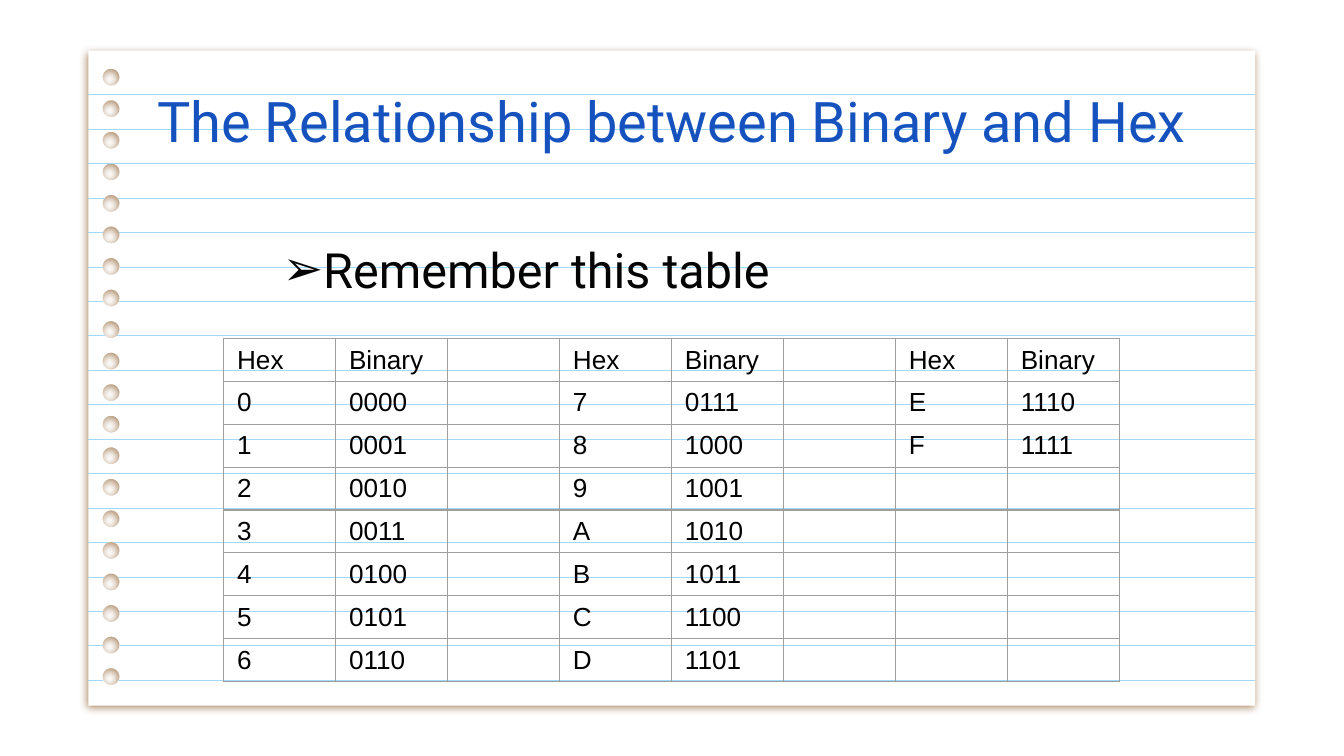
from math import cos, pi, sin, sqrt

from lxml import etree
from pptx import Presentation
from pptx.dml.color import RGBColor
from pptx.enum.shapes import MSO_CONNECTOR
from pptx.enum.text import MSO_ANCHOR, PP_ALIGN
from pptx.oxml import parse_xml
from pptx.oxml.ns import nsdecls, qn
from pptx.util import Cm, Pt

STRAIGHT = MSO_CONNECTOR.STRAIGHT
TOP, MIDDLE = MSO_ANCHOR.TOP, MSO_ANCHOR.MIDDLE
LEFT, CENTER = PP_ALIGN.LEFT, PP_ALIGN.CENTER

WHITE = RGBColor(0xFF, 0xFF, 0xFF)
BLACK = RGBColor(0x00, 0x00, 0x00)
INK = RGBColor(0x04, 0x04, 0x04)
BLUE = RGBColor(0x15, 0x52, 0xBD)
RULE = RGBColor(0xA1, 0xDA, 0xF8)
GRID = RGBColor(0x9E, 0x9E, 0x9E)
BROWN = RGBColor(0x78, 0x3F, 0x04)

SHEET_LEFT, SHEET_TOP, SHEET_RIGHT, SHEET_BOTTOM = 1.67, 0.96, 23.72, 13.34
HOLE_X, HOLE_R, HOLE_STEPS = 2.1, 0.16, 24
HOLES = [1.46 + i * (12.79 - 1.46) / 19 for i in range(20)]
RULES = [1.79 + i * (12.86 - 1.79) / 17 for i in range(18)]

HEADER = ["Hex", "Binary"]
GROUPS = [range(0, 7), range(7, 14), range(14, 16)]
ROWS, COLS = 8, 8


def write(p, text, font="Roboto", size=14, color=BLACK, align=LEFT):
    """Add a formatted run to a paragraph, or size the paragraph if empty."""
    p.alignment = align
    if not text:
        etree.SubElement(p._p, qn("a:endParaRPr"), sz=str(size * 100))
        return
    r = p.add_run()
    r.text = text
    r.font.name, r.font.size = font, Pt(size)
    r.font.color.rgb = color


class NotebookSlide:
    """Style and drawing methods for a slide on punched, ruled paper."""

    def __init__(self, s):
        self.s = s
        self.margin = Cm(0.25)

    def sheet(self):
        """Draw the paper with its punched holes and soft shadow."""
        fb = self.s.shapes.build_freeform(Cm(SHEET_LEFT), Cm(SHEET_TOP))
        fb.add_line_segments([(Cm(SHEET_LEFT), Cm(SHEET_BOTTOM)),
                              (Cm(SHEET_RIGHT), Cm(SHEET_BOTTOM)),
                              (Cm(SHEET_RIGHT), Cm(SHEET_TOP))])
        for y in HOLES:
            ring = [(Cm(HOLE_X + HOLE_R * cos(2 * pi * i / HOLE_STEPS)),
                     Cm(y + HOLE_R * sin(2 * pi * i / HOLE_STEPS)))
                    for i in range(HOLE_STEPS)]
            fb.move_to(*ring[0])
            fb.add_line_segments(ring[1:])
        sp = fb.convert_to_shape()
        sp.fill.solid()
        sp.fill.fore_color.rgb = WHITE
        sp.line.fill.background()
        sp._element.spPr.append(parse_xml(
            f'<a:effectLst {nsdecls("a")}><a:outerShdw blurRad="{Pt(4.5)}" '
            f'dist="{Pt(1.5)}" dir="5400000" algn="bl" rotWithShape="0">'
            f'<a:srgbClr val="{BROWN}"><a:alpha val="61000"/></a:srgbClr>'
            '</a:outerShdw></a:effectLst>'))

    def line(self, x1, x2, y):
        """Draw one horizontal stretch of a ruled line."""
        c = self.s.shapes.add_connector(STRAIGHT, Cm(x1), Cm(y), Cm(x2), Cm(y))
        c.line.color.rgb = RULE
        c.line.width = Pt(0.4)
        etree.SubElement(c._element.spPr, qn("a:effectLst"))

    def rule(self, y):
        """Draw a ruled line, broken where it meets a hole."""
        gap = min(abs(y - hole) for hole in HOLES)
        half = sqrt(max(HOLE_R ** 2 - gap ** 2, 0))
        if half < 0.04:
            self.line(SHEET_LEFT, SHEET_RIGHT, y)
            return
        self.line(SHEET_LEFT, HOLE_X - half, y)
        self.line(HOLE_X + half, SHEET_RIGHT, y)

    def text(self, text, x, y, w, h, top=0.25, bullet=None, **fmt):
        """Add a text box with one paragraph and an optional bullet."""
        tf = self.s.shapes.add_textbox(Cm(x), Cm(y), Cm(w), Cm(h)).text_frame
        tf.word_wrap = True
        tf.vertical_anchor = TOP
        tf.margin_left = tf.margin_right = tf.margin_bottom = self.margin
        tf.margin_top = Cm(top)
        p = tf.paragraphs[0]
        write(p, text, **fmt)
        if bullet:
            pPr = p._p.get_or_add_pPr()
            pPr.set("marL", str(Cm(2.13)))
            pPr.set("indent", str(Cm(-0.7)))
            etree.SubElement(pPr, qn("a:buFont"), typeface="Roboto")
            etree.SubElement(pPr, qn("a:buChar"), char=bullet)

    def table(self, rows, x, y, w, h):
        """Add an unfilled table with thin grey borders."""
        tb = self.s.shapes.add_table(len(rows), len(rows[0]), Cm(x), Cm(y),
                                     Cm(w), Cm(h)).table
        tb.first_row = tb.horz_banding = False
        for r, values in enumerate(rows):
            for c, value in enumerate(values):
                self.cell(tb.cell(r, c), value)

    def cell(self, cell, value):
        """Format one table cell and fill in its value."""
        cell.margin_left = cell.margin_right = self.margin
        cell.margin_top = cell.margin_bottom = Cm(0.1)
        cell.vertical_anchor = MIDDLE
        write(cell.text_frame.paragraphs[0], value, font="Arial")
        tcPr = cell._tc.get_or_add_tcPr()
        for side in ("lnL", "lnR", "lnT", "lnB"):
            tcPr.append(parse_xml(
                f'<a:{side} {nsdecls("a")} w="{Pt(0.75)}"><a:solidFill>'
                f'<a:srgbClr val="{GRID}"/></a:solidFill></a:{side}>'))
        cell.fill.background()


def hex_rows():
    """Lay out hex digits and their binary forms in column groups."""
    rows = [[""] * COLS for _ in range(ROWS)]
    for g, numbers in enumerate(GROUPS):
        pairs = [HEADER] + [[f"{n:X}", f"{n:04b}"] for n in numbers]
        for row, pair in zip(rows, pairs):
            row[3 * g:3 * g + 2] = pair
    return rows


def main():
    """Build the slide and save it."""
    prs = Presentation()
    prs.slide_width, prs.slide_height = Cm(25.4), Cm(14.29)
    slide = NotebookSlide(prs.slides.add_slide(prs.slide_layouts[6]))
    slide.sheet()
    for y in RULES:
        slide.rule(y)
    slide.text("Remember this table", 3.66, 3.25, 18.08, 9.14, top=1.72,
               bullet="➢", size=26, color=INK)
    slide.text("The Relationship between Binary and Hex", 2.49, 1.39, 20.42,
               1.75, size=30, color=BLUE, align=CENTER)
    slide.table(hex_rows(), 4.23, 6.4, 16.93, 6.48)
    prs.save("out.pptx")


if __name__ == "__main__":
    main()
